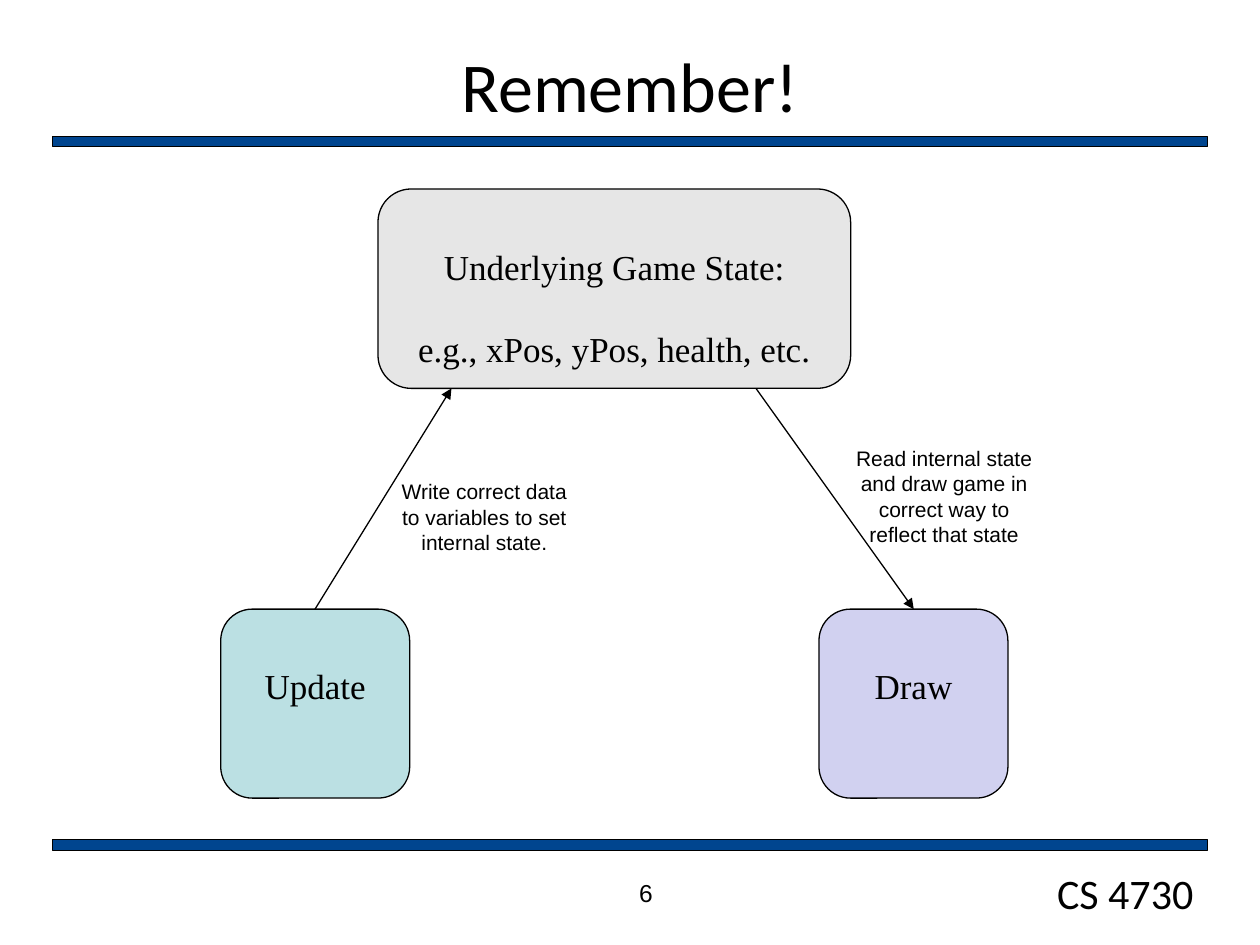
from dataclasses import dataclass

import pptx
import pptx.dml.color
import pptx.enum.shapes
import pptx.enum.text
import pptx.oxml.ns
import pptx.util
from lxml import etree

Cm = pptx.util.Cm
Pt = pptx.util.Pt
Kind = pptx.enum.shapes.MSO_SHAPE
Align = pptx.enum.text.PP_ALIGN
Anchor = pptx.enum.text.MSO_ANCHOR

BLACK = "000000"
BLUE = "00458F"
SERIF_GAP = 23  # one line of 20 pt serif text, in points


@dataclass
class Box:
    lines: list[str]
    x: float
    y: float
    w: float
    h: float
    fill: str


@dataclass
class Label:
    text: str
    x: float
    y: float
    w: float
    h: float
    size: float
    font: str = "Arial"
    align: Align = Align.CENTER
    anchor: Anchor = Anchor.TOP
    wrap: bool = True


@dataclass
class Arrow:
    x1: float
    y1: float
    x2: float
    y2: float


def paint(color, code: str) -> None:
    color.rgb = pptx.dml.color.RGBColor.from_string(code)


def add_run(para, text: str, size: float, font: str) -> None:
    run = para.add_run()
    run.text = text
    run.font.size = Pt(size)
    run.font.name = font
    paint(run.font.color, BLACK)


def draw_shape(slide, kind, x: float, y: float, w: float, h: float, fill: str):
    shape = slide.shapes.add_shape(kind, Cm(x), Cm(y), Cm(w), Cm(h))
    shape.shadow.inherit = False
    shape.fill.solid()
    paint(shape.fill.fore_color, fill)
    paint(shape.line.color, BLACK)
    shape.line.width = Pt(0.75)
    return shape


def draw_box(slide, box: Box) -> None:
    shape = draw_shape(slide, Kind.ROUNDED_RECTANGLE,
                       box.x, box.y, box.w, box.h, box.fill)
    frame = shape.text_frame
    frame.word_wrap = True
    frame.vertical_anchor = Anchor.TOP
    frame.margin_top = Cm(0.13) + Pt(SERIF_GAP)
    for i, line in enumerate(box.lines):
        para = frame.add_paragraph() if i else frame.paragraphs[0]
        para.alignment = Align.CENTER
        if i:
            para.space_before = Pt(SERIF_GAP)
        add_run(para, line, 20, "Times New Roman")


def draw_label(slide, label: Label) -> None:
    area = slide.shapes.add_textbox(Cm(label.x), Cm(label.y),
                                    Cm(label.w), Cm(label.h))
    frame = area.text_frame
    frame.word_wrap = label.wrap
    frame.vertical_anchor = label.anchor
    para = frame.paragraphs[0]
    para.alignment = label.align
    add_run(para, label.text, label.size, label.font)


def draw_arrow(slide, arrow: Arrow) -> None:
    line = slide.shapes.add_connector(
        pptx.enum.shapes.MSO_CONNECTOR.STRAIGHT,
        Cm(arrow.x1), Cm(arrow.y1), Cm(arrow.x2), Cm(arrow.y2))
    paint(line.line.color, BLACK)
    line.line.width = Pt(0.75)
    qn = pptx.oxml.ns.qn
    props = line._element.spPr
    etree.SubElement(props.find(qn("a:ln")), qn("a:tailEnd"), type="triangle")
    etree.SubElement(props, qn("a:effectLst"))


# Shared edges of the page and the diagram
LEFT, WIDE = 1.06, 23.28
TOP, LOW = 7.83, 12.28
SIDE = 3.81

BARS = [16.93, 2.75]

LABELS = [
    Label("CS 4730", 21.06, 17.36, 3.28, 1.27, 24, "Calibri",
          Align.LEFT, wrap=False),
    Label("Remember!", LEFT, 0.85, WIDE, 1.69, 40, "Calibri",
          anchor=Anchor.MIDDLE),
    Label("6", 8.68, 17.57, 8.68, 0.85, 14),
    Label("Write correct data to variables to set internal state.",
          7.62, 9.53, 4.29, 1.8, 12),
    Label("Read internal state and draw game in correct way to "
          "reflect that state", 16.89, 8.86, 4.29, 2.31, 12),
]

BOXES = [
    Box(["Update"], 4.45, LOW, SIDE, SIDE, "BBE0E3"),
    Box(["Draw"], 16.51, LOW, SIDE, SIDE, "D1D1F0"),
    Box(["Underlying Game State:", "e.g., xPos, yPos, health, etc."],
        7.62, 3.81, 9.53, TOP - 3.81, "E6E6E6"),
]

ARROWS = [
    Arrow(6.35, LOW, 9.1, TOP),
    Arrow(15.24, TOP, 18.42, LOW),
]


def main() -> None:
    deck = pptx.Presentation()
    deck.slide_width, deck.slide_height = Cm(25.4), Cm(19.05)
    slide = deck.slides.add_slide(deck.slide_layouts[6])

    # Rules above and below the diagram
    for y in BARS:
        draw_shape(slide, Kind.RECTANGLE, LEFT, y, WIDE, 0.21, BLUE)

    # Game state diagram
    for box in BOXES:
        draw_box(slide, box)
    for arrow in ARROWS:
        draw_arrow(slide, arrow)

    # Title, footer and arrow notes
    for label in LABELS:
        draw_label(slide, label)

    deck.save("out.pptx")


if __name__ == "__main__":
    main()
